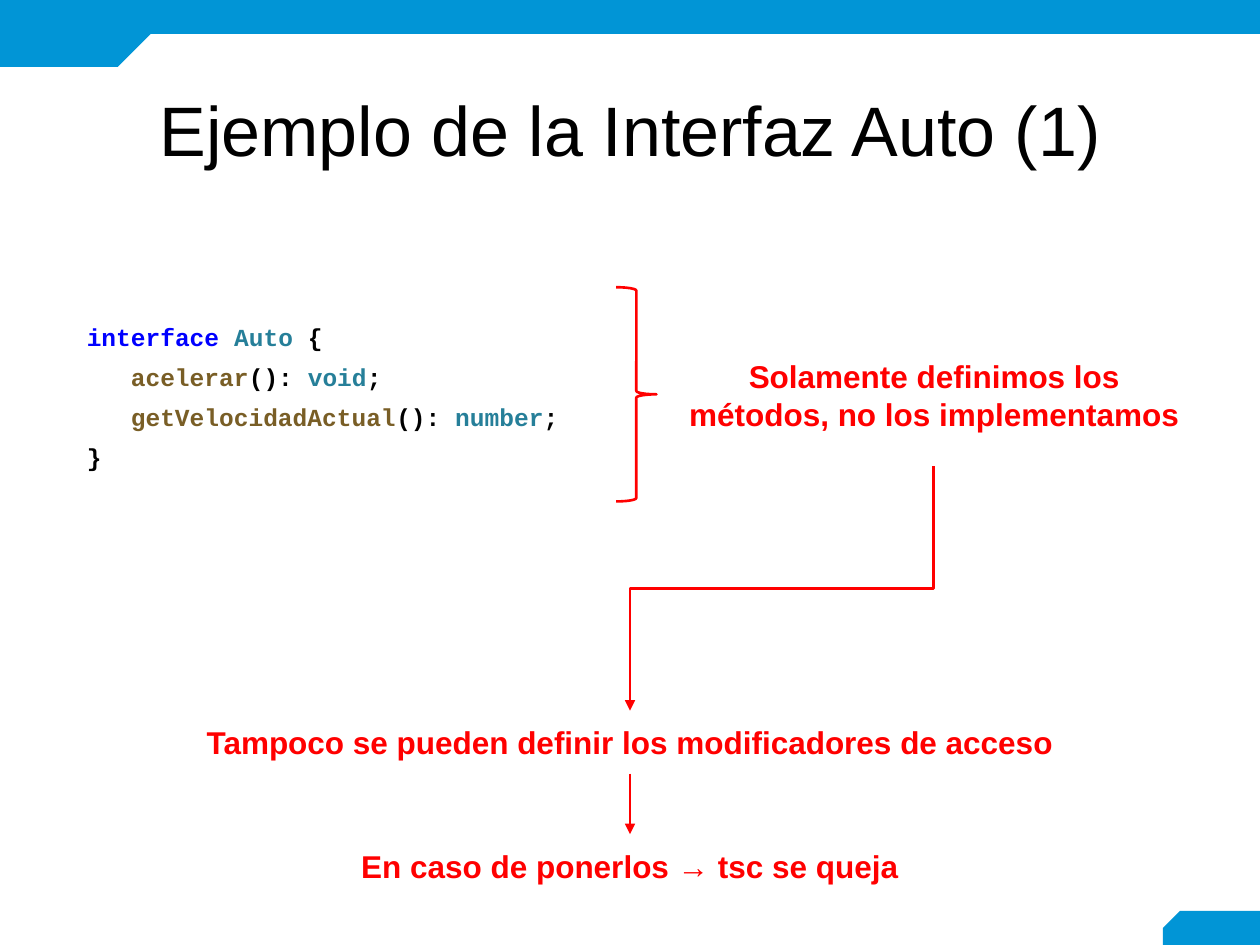
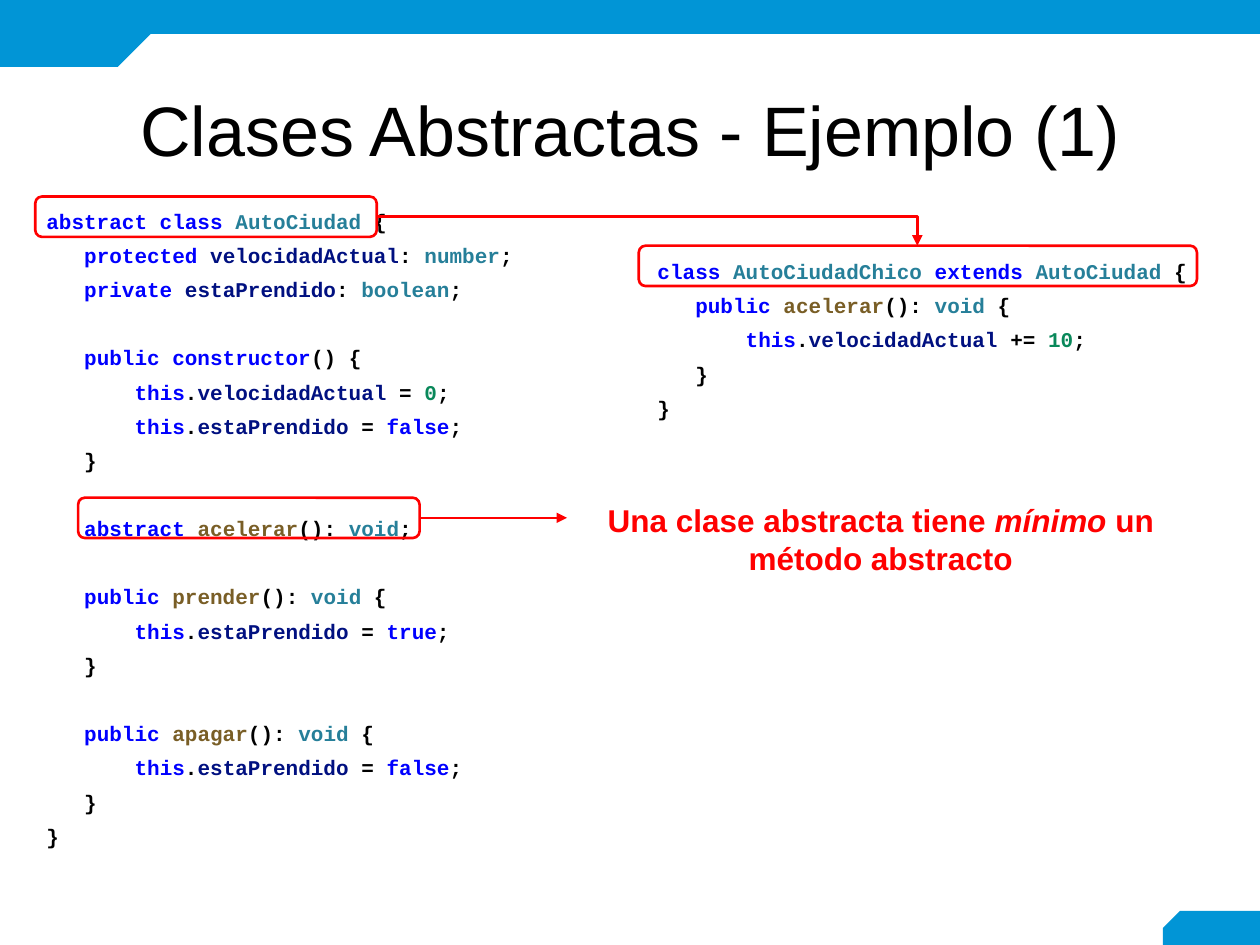
import itertools
import pptx
import pptx.dml.color
import pptx.enum.shapes
import pptx.enum.text
import pptx.oxml.ns
import pptx.util

SHAPE = pptx.enum.shapes.MSO_SHAPE
LINK = pptx.enum.shapes.MSO_CONNECTOR
ALIGN = pptx.enum.text.PP_ALIGN
ANCHOR = pptx.enum.text.MSO_ANCHOR
qn = pptx.oxml.ns.qn

# Grid: 100 columns by 75 rows on a 10 x 7.5 inch slide
COLUMNS, ROWS = 100, 75
CELL = pptx.util.Inches(10) // COLUMNS

BLUE, RED, BLACK = "0195D6", "FF0000", "000000"
SANS, MONO = "Arial", "Courier New"
STROKE = 1.5
LINE_SPACING = 1.36
BLANK_LINE = 1.62      # height of an empty code line, in font sizes
CHAR_WIDTH = 0.6       # monospaced character, in font sizes

# Syntax colours, looked up word by word
SYNTAX = {
    "0000FF": "interface abstract class extends public private protected "
              "constructor this true false",
    "267F99": "Auto AutoCiudad AutoCiudadChico void number boolean",
    "795E26": "acelerar getVelocidadActual prender apagar",
    "001080": "velocidadActual estaPrendido",
    "09885A": "0 10",
}
WORD_COLORS = {word: color for color, words in SYNTAX.items()
               for word in words.split()}

AUTO_CODE = """\
interface Auto {
   acelerar(): void;
   getVelocidadActual(): number;
}"""

CITY_CODE = """\
abstract class AutoCiudad {
   protected velocidadActual: number;
   private estaPrendido: boolean;

   public constructor() {
       this.velocidadActual = 0;
       this.estaPrendido = false;
   }

   abstract acelerar(): void;

   public prender(): void {
       this.estaPrendido = true;
   }

   public apagar(): void {
       this.estaPrendido = false;
   }
}"""

SMALL_CODE = """\
class AutoCiudadChico extends AutoCiudad {
   public acelerar(): void {
       this.velocidadActual += 10;
   }
}"""


# Shared helpers
def rgb(value):
    return pptx.dml.color.RGBColor.from_string(value)


def cells(*values):
    """Grid units to slide lengths."""
    return [pptx.util.Emu(round(value * CELL)) for value in values]


def add_span(para, text, size=18, font=SANS, color=BLACK, bold=False, italic=False):
    span = para.add_run()
    span.text = text
    span.font.size = pptx.util.Pt(size)
    span.font.name = font
    span.font.color.rgb = rgb(color)
    span.font.bold = bold
    span.font.italic = italic


def add_text_box(page, box, anchor=ANCHOR.TOP):
    frame = page.shapes.add_textbox(*cells(*box)).text_frame
    frame.word_wrap = True
    frame.vertical_anchor = anchor
    frame.margin_left = frame.margin_right = cells(1)[0]
    frame.margin_top = frame.margin_bottom = cells(1)[0]
    return frame


def add_band(page, kind, box, snip=None, rotation=0):
    band = page.shapes.add_shape(kind, *cells(*box))
    band.shadow.inherit = False
    band.fill.solid()
    band.fill.fore_color.rgb = rgb(BLUE)
    band.line.fill.background()
    band.rotation = rotation
    if snip is not None:
        band.adjustments[0] = snip
        band._element.spPr.find(qn("a:xfrm")).set("flipH", "1")


def add_outline(page, kind, box):
    outline = page.shapes.add_shape(kind, *cells(*box))
    outline.shadow.inherit = False
    outline.fill.background()
    outline.line.color.rgb = rgb(RED)
    outline.line.width = pptx.util.Pt(STROKE)


def add_arrow(page, start, end, kind=LINK.STRAIGHT):
    arrow = page.shapes.add_connector(kind, *cells(*start, *end))
    arrow.line.color.rgb = rgb(RED)
    arrow.line.width = pptx.util.Pt(STROKE)
    stroke = arrow.line._get_or_add_ln()
    stroke.append(stroke.makeelement(qn("a:tailEnd"), {"type": "triangle"}))
    properties = arrow._element.spPr
    properties.append(properties.makeelement(qn("a:effectLst"), {}))
    return arrow


def add_corner_arrow(page, start, end):
    """Across, then down."""
    arrow = add_arrow(page, start, end, LINK.ELBOW)
    arrow._element.spPr.find(qn("a:prstGeom")).set("prst", "bentConnector2")


def add_step_arrow(page, start, end):
    """Down, across to the left, down: an elbow turned a quarter."""
    (x1, y1), (x2, y2) = start, end
    middle_x, middle_y = (x1 + x2) / 2, (y1 + y2) / 2
    half_width, half_height = (y2 - y1) / 2, (x1 - x2) / 2
    arrow = add_arrow(page, (middle_x - half_width, middle_y - half_height),
                      (middle_x + half_width, middle_y + half_height), LINK.ELBOW)
    arrow._element.spPr.find(qn("a:xfrm")).set("rot", str(90 * 60000))


def add_note(page, box, *parts):
    """Red centred remark; every second part is italic."""
    frame = add_text_box(page, box, ANCHOR.MIDDLE)
    para = frame.paragraphs[0]
    para.alignment = ALIGN.CENTER
    for index, text in enumerate(parts):
        add_span(para, text, color=RED, bold=True, italic=index % 2 == 1)


def colored_parts(line):
    """Split a code line into [text, colour] parts; spaces join the part before."""
    parts = []
    for _, group in itertools.groupby(line, key=str.isalnum):
        token = "".join(group)
        color = WORD_COLORS.get(token, BLACK)
        if parts and (token.isspace() or parts[-1][1] == color):
            parts[-1][0] += token
        else:
            parts.append([token, color])
    return parts


def add_code(page, box, code, size):
    frame = add_text_box(page, box)
    para, gap = frame.paragraphs[0], 0
    for index, line in enumerate(code.splitlines()):
        content = line.lstrip()
        if not content:
            gap += BLANK_LINE * size
            continue
        if index:
            para = frame.add_paragraph()
        para.line_spacing = LINE_SPACING
        para.space_before = pptx.util.Pt(gap)
        indent = (len(line) - len(content)) * CHAR_WIDTH * size
        para._p.get_or_add_pPr().set("marL", str(int(pptx.util.Pt(indent))))
        for text, color in colored_parts(content):
            add_span(para, text, size=size, font=MONO, color=color, bold=True)
        gap = 0


def add_page(deck, title):
    """Title-only page with the blue bands."""
    page = deck.slides.add_slide(deck.slide_layouts[5])
    add_band(page, SHAPE.SNIP_1_RECTANGLE, (92.3, 72.3, 7.7, 2.7), snip=0.57)
    add_band(page, SHAPE.RECTANGLE, (11.2, 0, 88.8, 2.7))
    add_band(page, SHAPE.SNIP_1_RECTANGLE, (0, 0, 12, 5.3), snip=0.5, rotation=180)

    heading = page.shapes.title
    heading.left, heading.top, heading.width, heading.height = cells(3.4, 6.5, 93.2, 8.3)
    frame = heading.text_frame
    frame.auto_size = pptx.enum.text.MSO_AUTO_SIZE.NONE
    frame.vertical_anchor = ANCHOR.MIDDLE
    para = frame.paragraphs[0]
    para.alignment = ALIGN.CENTER
    para.line_spacing = 0.9
    add_span(para, title, size=40)
    return page


# Slide 1: interface
def build_interface(deck):
    page = add_page(deck, "Ejemplo de la Interfaz Auto (1)")
    center = COLUMNS / 2
    add_code(page, (5.9, 23.7, 41.5, 15.3), AUTO_CODE, 14)
    add_outline(page, SHAPE.RIGHT_BRACE, (48.9, 22.8, 3.2, 17))
    add_note(page, (53.6, 25.7, 41.1, 11.3),
             "Solamente definimos los métodos, no los implementamos")

    # Remarks chained by arrows
    first, second, height = 56.4, 66.2, 5
    add_note(page, (13.7, first, 72.6, height),
             "Tampoco se pueden definir los modificadores de acceso")
    add_note(page, (13.7, second, 72.6, height), "En caso de ponerlos → tsc se queja")
    add_step_arrow(page, (74.1, 37), (center, first))
    add_arrow(page, (center, first + height), (center, second))


# Slide 2: abstract class
def build_abstract_class(deck):
    page = add_page(deck, "Clases Abstractas - Ejemplo (1)")
    add_code(page, (2.7, 14.8, 42.3, 52.5), CITY_CODE, 12)
    add_code(page, (51.2, 18.8, 45.4, 16.8), SMALL_CODE, 12)
    add_note(page, (45.8, 37.5, 48.2, 10.6),
             "Una clase abstracta tiene ", "mínimo ", "un método abstracto")

    # Framed lines and the arrows that leave them
    height = 3.2
    for box in ((2.8, 15.6, 27.1, height), (50.7, 19.5, 44.3, height),
                (6.2, 39.5, 27.1, height)):
        add_outline(page, SHAPE.ROUNDED_RECTANGLE, box)
    add_corner_arrow(page, (29.9, 15.6 + height / 2), (72.8, 19.5))
    add_arrow(page, (33.3, 39.5 + height / 2), (45, 39.5 + height / 2))


deck = pptx.Presentation()
deck.slide_width, deck.slide_height = cells(COLUMNS, ROWS)
build_interface(deck)
build_abstract_class(deck)
deck.save("out.pptx")
